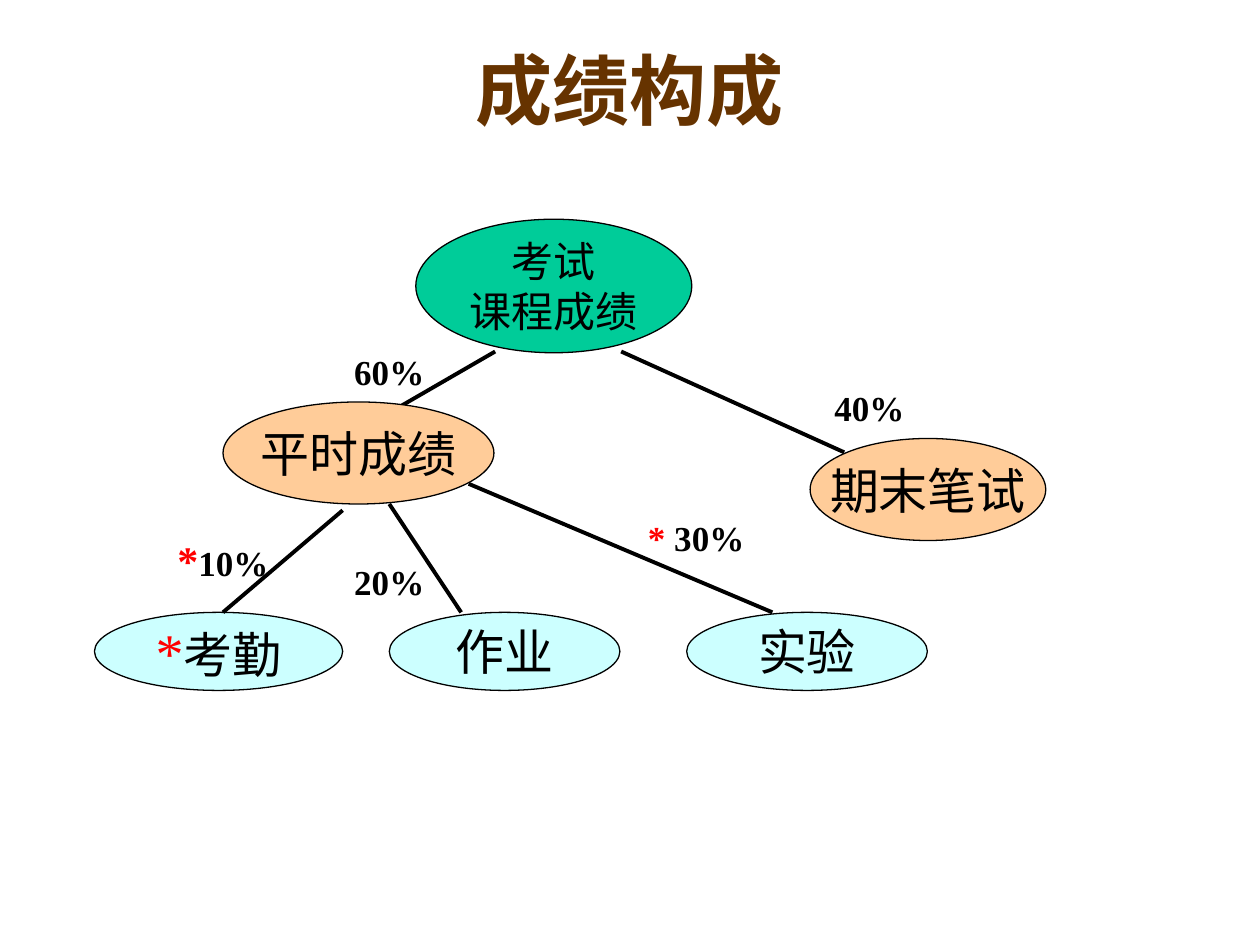
from lxml import etree
from pptx import Presentation
from pptx import util as u
from pptx.dml.color import RGBColor
from pptx.enum import shapes, text
from pptx.oxml.ns import qn

FONT = "Times New Roman"
COLORS = {"title": "663300", "text": "000000", "star": "FF0000",
          "course": "00CC99", "part": "FFCC99", "task": "CCFFFF"}

TITLE = "成绩构成"
# Paragraphs are lists of runs: (text, size, colour name)
COURSE = [("course", (3.3, 1.74, 2.19, 1.06),
           [[("考试", 24, "text")], [("课程成绩", 24, "text")]])]
PARTS = [("part", (1.77, 3.19, 2.15, 0.81), [[("平时成绩", 28, "text")]]),
         ("part", (6.43, 3.48, 1.87, 0.81), [[("期末笔试", 28, "text")]])]
TASK_TOP, TASK_HEIGHT = 4.86, 0.62
TASKS = [("task", (left, TASK_TOP, width, TASK_HEIGHT), [runs])
         for left, width, runs in (
             (0.75, 1.97, [("*", 32, "star"), ("考勤", 28, "text")]),
             (3.09, 1.83, [("作业", 28, "text")]),
             (5.45, 1.91, [("实验", 28, "text")]))]
COURSE_LINKS = [(3.93, 2.79, 2.72, 3.49), (4.93, 2.79, 6.7, 3.59)]
TASK_LINKS = [(2.72, 4.05, 1.77, TASK_TOP), (3.09, 4, 3.66, TASK_TOP),
              (3.72, 3.84, 6.13, TASK_TOP)]
WEIGHTS = [((2.62, 2.73, 0.94, 0.43), [("60%", 20, "text")]),
           ((6.43, 3.02, 0.94, 0.43), [("40%", 20, "text")]),
           ((1.3, 4.19, 0.94, 0.51), [("*", 24, "star"), ("10%", 20, "text")]),
           ((2.62, 4.4, 0.94, 0.43), [("20%", 20, "text")]),
           ((4.98, 4.05, 1.09, 0.44), [("* ", 20, "star"), ("30%", 20, "text")])]


def color(name):
    """Return the named palette colour."""
    return RGBColor.from_string(COLORS[name])


def inches(values):
    """Convert a sequence of numbers to inches."""
    return [u.Inches(value) for value in values]


def write(frame, paragraphs, bold=False, wrap=True,
          anchor=text.MSO_ANCHOR.MIDDLE):
    """Fill a text frame with centred paragraphs of formatted runs."""
    frame.word_wrap = wrap
    frame.vertical_anchor = anchor
    for index, runs in enumerate(paragraphs):
        paragraph = frame.add_paragraph() if index else frame.paragraphs[0]
        paragraph.alignment = text.PP_ALIGN.CENTER
        for words, size, name in runs:
            run = paragraph.add_run()
            run.text = words
            run.font.name = FONT
            run.font.size = u.Pt(size)
            run.font.bold = bold
            run.font.color.rgb = color(name)


def add_nodes(slide, nodes):
    """Draw outlined ellipses with their labels."""
    for fill, box, paragraphs in nodes:
        shape = slide.shapes.add_shape(shapes.MSO_SHAPE.OVAL, *inches(box))
        shape.shadow.inherit = False
        shape.fill.solid()
        shape.fill.fore_color.rgb = color(fill)
        shape.line.color.rgb = color("text")
        shape.line.width = u.Pt(0.75)
        write(shape.text_frame, paragraphs, wrap=False)


def add_links(slide, links):
    """Draw straight lines between the levels of the tree."""
    for ends in links:
        connector = slide.shapes.add_connector(
            shapes.MSO_CONNECTOR.STRAIGHT, *inches(ends))
        connector.line.color.rgb = color("text")
        connector.line.width = u.Pt(2.25)
        etree.SubElement(connector._element.spPr, qn("a:effectLst"))


def add_weights(slide, weights):
    """Place the bold percentages beside the links."""
    for box, runs in weights:
        shape = slide.shapes.add_textbox(*inches(box))
        write(shape.text_frame, [runs], bold=True, anchor=text.MSO_ANCHOR.TOP)


def main():
    """Build and save the slide."""
    presentation = Presentation()
    presentation.slide_width, presentation.slide_height = inches((10, 7.5))
    slide = presentation.slides.add_slide(presentation.slide_layouts[5])
    title = slide.shapes.title
    title.left, title.top, title.width, title.height = inches(
        (0.75, 0.25, 8.5, 0.91))
    write(title.text_frame, [[(TITLE, 44, "title")]], bold=True)
    add_links(slide, COURSE_LINKS)
    add_nodes(slide, COURSE + PARTS + TASKS)
    add_links(slide, TASK_LINKS)
    add_weights(slide, WEIGHTS)
    presentation.save("out.pptx")


main()
